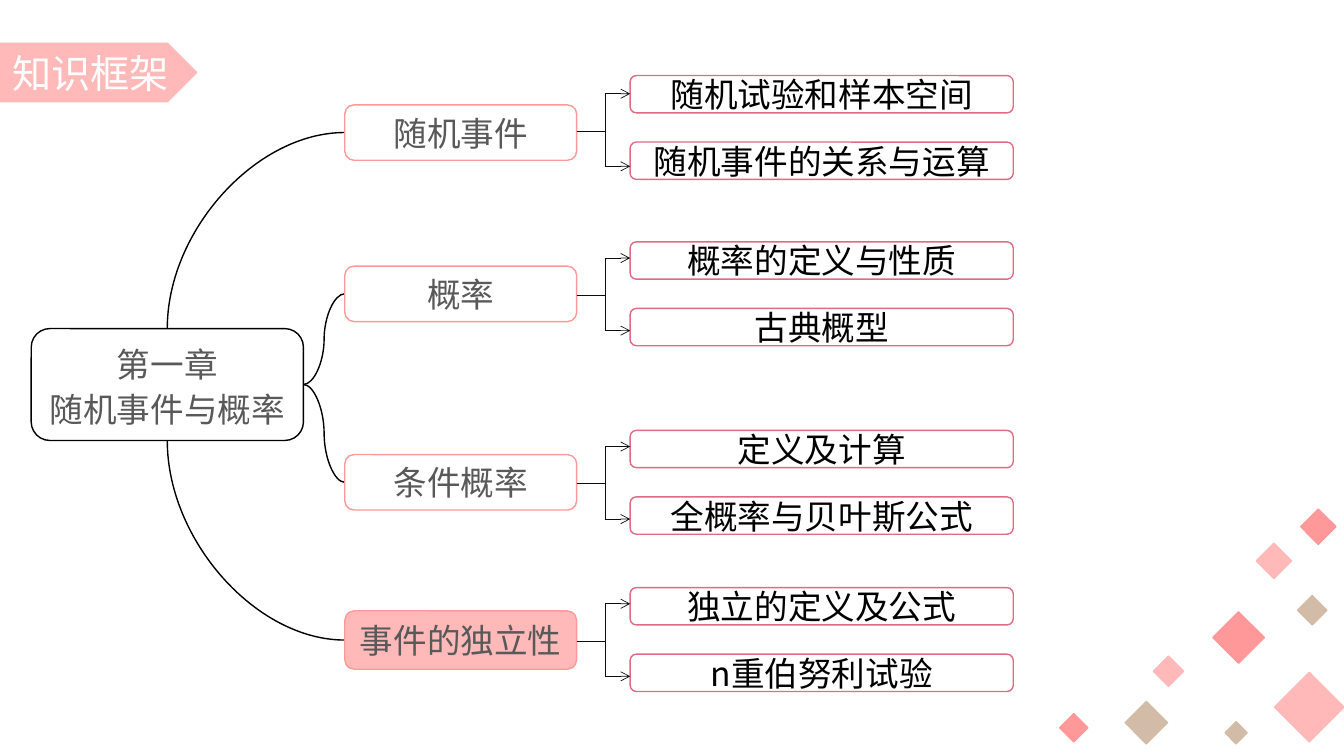
from lxml.etree import SubElement
from pptx import Presentation
from pptx.dml.color import RGBColor
from pptx.enum.shapes import MSO_CONNECTOR, MSO_SHAPE
from pptx.enum.text import MSO_ANCHOR, MSO_AUTO_SIZE, PP_ALIGN
from pptx.oxml.ns import qn
from pptx.util import Inches, Pt

FONT = "Noto Sans CJK SC"
BLACK = RGBColor(0x00, 0x00, 0x00)
INK = RGBColor(0x0D, 0x0D, 0x0D)
GRAY = RGBColor(0x59, 0x59, 0x59)
WHITE = RGBColor(0xFF, 0xFF, 0xFF)
PINK = RGBColor(0xFF, 0xB9, 0xB9)
CORAL = RGBColor(0xFF, 0x99, 0x99)
ROSE = RGBColor(0xDF, 0x6B, 0x84)
TAN = RGBColor(0xD2, 0xBC, 0xA7)

# left, top, size, colour
DIAMONDS = [
    (12.46, 5.39, 0.35, PINK), (12.64, 6.67, 0.69, PINK), (12.15, 7.16, 0.22, TAN),
    (12.03, 6.07, 0.51, CORAL), (12.87, 5.91, 0.29, TAN), (11.16, 6.96, 0.42, TAN),
    (10.51, 7.08, 0.28, CORAL), (12.9, 5.05, 0.35, CORAL), (11.44, 6.51, 0.3, PINK),
]
# topic, top, height, fill, height of its stem, top of first leaf, leaves
BRANCHES = [
    ("随机事件", 1.04, 0.55, None, 1.3, 0.75, ("随机试验和样本空间", "随机事件的关系与运算")),
    ("概率", 2.64, 0.55, None, 2.93, 2.4, ("概率的定义与性质", "古典概型")),
    ("条件概率", 4.51, 0.55, None, 4.8, 4.27, ("定义及计算", "全概率与贝叶斯公式")),
    ("事件的独立性", 6.06, 0.58, PINK, 6.36, 5.83, ("独立的定义及公式", "n重伯努利试验")),
]
ROOT_LEFT, ROOT_TOP, ROOT_WIDTH, ROOT_HEIGHT = 0.31, 3.26, 2.7, 1.11
TOPIC_LEFT, TOPIC_WIDTH = 3.42, 2.3
LEAF_LEFT, LEAF_WIDTH, LEAF_HEIGHT, LEAF_STEP = 6.25, 3.8, 0.37, 0.66
FORK = 6.0


def write_text(shape, text, size=24, color=BLACK, spacing=None):
    """Centre the lines of text in the shape."""
    frame = shape.text_frame
    frame.word_wrap = True
    frame.auto_size = MSO_AUTO_SIZE.NONE
    frame.vertical_anchor = MSO_ANCHOR.MIDDLE
    frame.margin_left = frame.margin_right = Inches(0)
    frame.margin_top = frame.margin_bottom = Inches(0)
    for index, line in enumerate(text.split("\n")):
        para = frame.add_paragraph() if index else frame.paragraphs[0]
        para.alignment = PP_ALIGN.CENTER
        para.line_spacing = spacing or 1.0
        para.space_before = Pt(0)
        span = para.add_run()
        span.text = line
        span.font.size = Pt(size)
        span.font.name = FONT
        span.font.color.rgb = color
        SubElement(span.font._element, qn("a:ea"), typeface=FONT)


class MindMap:
    """Holds the slide and its line style."""

    def __init__(self, slide):
        self.slide = slide
        self.outline = Pt(1)

    def shape(self, kind, left, top, width, height, line, fill=None):
        shape = self.slide.shapes.add_shape(
            kind, Inches(left), Inches(top), Inches(width), Inches(height))
        shape.shadow.inherit = False
        if fill is None:
            shape.fill.background()
        else:
            shape.fill.solid()
            shape.fill.fore_color.rgb = fill
        shape.line.color.rgb = line
        shape.line.width = self.outline
        return shape

    def box(self, text, left, top, width, height, line, fill=None, **style):
        box = self.shape(MSO_SHAPE.ROUNDED_RECTANGLE, left, top, width, height, line, fill)
        write_text(box, text, **style)

    def connector(self, kind, start, end, color, width):
        link = self.slide.shapes.add_connector(kind, *map(Inches, start + end))
        link.line.color.rgb = color
        link.line.width = Pt(width)
        SubElement(link._element.spPr, qn("a:effectLst"))
        return link

    def line(self, start, end, arrow=False):
        link = self.connector(MSO_CONNECTOR.STRAIGHT, start, end, INK, 0.5)
        if arrow:
            SubElement(link.line._get_or_add_ln(), qn("a:tailEnd"), type="arrow")

    def curve(self, start, end, quarter=False):
        link = self.connector(MSO_CONNECTOR.CURVE, start, end, BLACK, 1)
        if quarter:
            link._element.spPr.find(qn("a:prstGeom")).set("prst", "curvedConnector2")

    def title(self, text, left, top, width, height):
        title = self.slide.shapes.title
        title.left, title.top = Inches(left), Inches(top)
        title.width, title.height = Inches(width), Inches(height)
        write_text(title, text, size=28, color=WHITE)
        # Keep the title in front of its banner
        self.slide.shapes._spTree.append(title._element)


def main():
    deck = Presentation()
    deck.slide_width, deck.slide_height = Inches(13.33), Inches(7.5)
    page = MindMap(deck.slides.add_slide(deck.slide_layouts[5]))

    # Corner decoration
    for left, top, size, color in DIAMONDS:
        page.shape(MSO_SHAPE.DIAMOND, left, top, size, size, color, color)

    # Title banner
    page.shape(MSO_SHAPE.PENTAGON, 0, 0.43, 1.95, 0.58, PINK, PINK)
    page.title("知识框架", 0, 0.43, 1.8, 0.58)

    # Root
    page.box("第一章\n随机事件与概率", ROOT_LEFT, ROOT_TOP, ROOT_WIDTH, ROOT_HEIGHT,
             BLACK, color=GRAY, spacing=Pt(32))
    root_center = ROOT_LEFT + ROOT_WIDTH / 2
    root_middle = ROOT_TOP + ROOT_HEIGHT / 2
    root_right = ROOT_LEFT + ROOT_WIDTH

    for topic, top, height, fill, stem, leaf_top, leaves in BRANCHES:
        # Curve from the root: outer topics leave its top or bottom edge
        joint = (TOPIC_LEFT, top + height / 2)
        if topic == BRANCHES[0][0]:
            page.curve(joint, (root_center, ROOT_TOP), quarter=True)
        elif topic == BRANCHES[-1][0]:
            page.curve(joint, (root_center, ROOT_TOP + ROOT_HEIGHT), quarter=True)
        else:
            page.curve((root_right, root_middle), joint)

        # Topic and its leaves
        page.box(topic, TOPIC_LEFT, top, TOPIC_WIDTH, height, CORAL, fill, color=GRAY)
        for index, leaf in enumerate(leaves):
            page.box(leaf, LEAF_LEFT, leaf_top + index * LEAF_STEP,
                     LEAF_WIDTH, LEAF_HEIGHT, ROSE)

        # Fork between them
        upper, lower = stem - 0.37, stem + 0.35
        page.line((TOPIC_LEFT + TOPIC_WIDTH, stem), (FORK, stem))
        page.line((FORK, lower), (FORK, upper))
        for level in (upper, lower):
            page.line((FORK, level), (LEAF_LEFT, level), arrow=True)

    deck.save("out.pptx")


if __name__ == "__main__":
    main()
